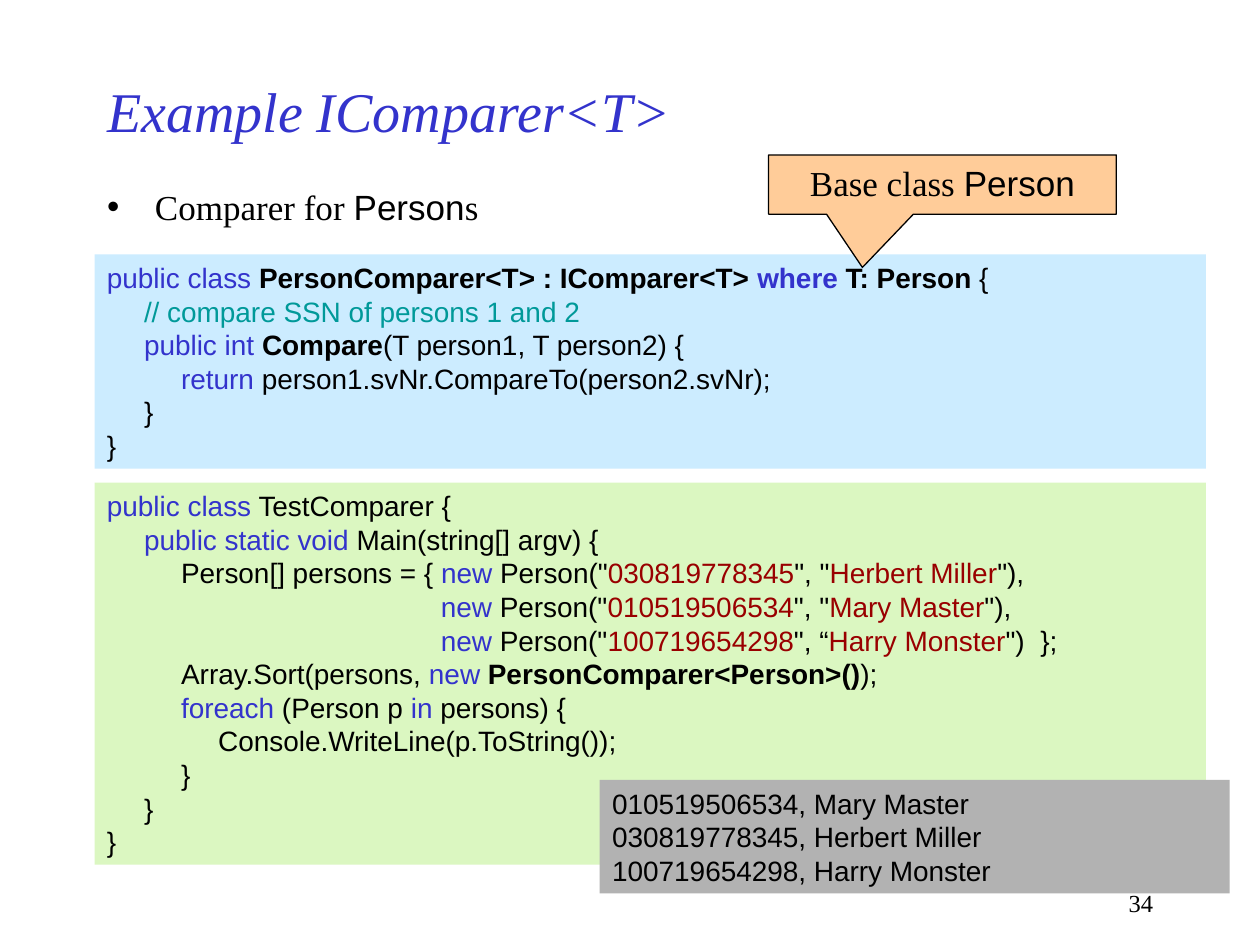
import pptx
import pptx.dml.color
import pptx.enum.shapes
import pptx.enum.text
import pptx.oxml
import pptx.oxml.ns
import pptx.util

Pt = pptx.util.Pt
RGB = pptx.dml.color.RGBColor.from_string
SHAPES = pptx.enum.shapes.MSO_SHAPE
ALIGN = pptx.enum.text.PP_ALIGN
ANCHOR = pptx.enum.text.MSO_ANCHOR

SERIF, SANS = "Times New Roman", "Arial"
CODE_SIZE, TEXT_SIZE = Pt(16), Pt(20)
THEME = {
    # run styles: font attributes and a colour
    "title": ({"name": SERIF, "size": Pt(32), "italic": True}, "3333CC"),
    "text": ({"name": SERIF, "size": TEXT_SIZE}, "000000"),
    "term": ({"name": SANS, "size": TEXT_SIZE}, "000000"),
    "number": ({"name": SERIF, "size": Pt(14)}, "000000"),
    "code": ({"name": SANS, "size": CODE_SIZE}, "000000"),
    "strong": ({"name": SANS, "size": CODE_SIZE, "bold": True}, "000000"),
    "keyword": ({"name": SANS, "size": CODE_SIZE}, "3333CC"),
    "strong keyword": ({"name": SANS, "size": CODE_SIZE, "bold": True}, "3333CC"),
    "comment": ({"name": SANS, "size": CODE_SIZE}, "009999"),
    "string": ({"name": SANS, "size": CODE_SIZE}, "990000"),
    # panel fills
    "comparer panel": "CCECFF",
    "test panel": "DBF7C1",
    "output panel": "B2B2B2",
    "callout": "FFCC99",
    "outline": "000000",
}

deck = pptx.Presentation()
deck.slide_width, deck.slide_height = pptx.util.Inches(10), pptx.util.Inches(7.5)
COL, ROW = deck.slide_width / 100, deck.slide_height / 75
slide = deck.slides.add_slide(deck.slide_layouts[1])

LEFT = 7.5                      # shared left edge, in columns
CODE_LEADING = CODE_SIZE * 1.2
INSET = ROW / 2                 # space above and below the text of a box
TAB = COL * 26.5 / 9            # one level of code indent


def grid(left, top, width, height):
    return [round(n) for n in (left * COL, top * ROW, width * COL, height * ROW)]


def write(frame, lines, align=ALIGN.LEFT, anchor=ANCHOR.TOP, leading=None, tabs=0):
    """Fill a text frame with lines, each a list of (style, text) runs."""
    layout = {"word_wrap": True, "vertical_anchor": anchor,
              "auto_size": pptx.enum.text.MSO_AUTO_SIZE.NONE}
    for name, value in layout.items():
        setattr(frame, name, value)
    for index, runs in enumerate(lines):
        paragraph = frame.add_paragraph() if index else frame.paragraphs[0]
        paragraph.alignment = align
        if tabs:
            stops = pptx.oxml.parse_xml(f"<a:tabLst {pptx.oxml.ns.nsdecls('a')}/>")
            for stop in range(1, tabs + 1):
                tab = stops.makeelement(pptx.oxml.ns.qn("a:tab"),
                                        {"pos": str(round(stop * TAB)), "algn": "l"})
                stops.append(tab)
            paragraph._p.get_or_add_pPr().append(stops)
        if leading:
            paragraph.line_spacing = Pt(leading / Pt(1))
        for style, text in runs:
            run = paragraph.add_run()
            run.text = text
            attributes, color = THEME[style]
            for name, value in attributes.items():
                setattr(run.font, name, value)
            run.font.color.rgb = RGB(color)


# Slide number, title and list
page_left, page_top, page_width, page_height = grid(71.7, 70, 20.8, 3.3)
page_number = slide.shapes.add_textbox(page_left, page_top, page_width, page_height)
write(page_number.text_frame, [[("number", "34")]], align=ALIGN.RIGHT)

title, body = slide.placeholders
for placeholder, box in ((title, grid(LEFT, 5, 75, 7.5)), (body, grid(LEFT, 14.2, 85, 55))):
    for name, value in zip(("left", "top", "width", "height"), box):
        setattr(placeholder, name, value)
write(title.text_frame, [[("title", "Example IComparer<T>")]], anchor=ANCHOR.MIDDLE)
write(body.text_frame, [[("text", "Comparer for "), ("term", "Person"), ("text", "s")]])
bullet_indent = round(3.8 * COL)
topic = body.text_frame.paragraphs[0]._p.get_or_add_pPr()
topic.set("marL", str(bullet_indent))
topic.set("indent", str(-bullet_indent))

# Code and output
persons = [("030819778345", "Herbert Miller"),
           ("010519506534", "Mary Master"),
           ("100719654298", "Harry Monster")]
leads = ["\t\tPerson[] persons = { "] + ["\t" * 9] * 2
separators = ['", "', '", "', '", “']
ends = ['"),', '"),', '")  };']

comparer_code = [
    [("keyword", "public class "), ("strong", "PersonComparer<T> : IComparer<T> "),
     ("strong keyword", "where"), ("strong", " T: Person"), ("code", " {")],
    [("comment", "\t// compare SSN of persons 1 and 2")],
    [("keyword", "\tpublic int "), ("strong", "Compare"), ("code", "(T person1, T person2) {")],
    [("keyword", "\t\treturn"), ("code", " person1.svNr.CompareTo(person2.svNr);")],
    [("code", "\t}")],
    [("code", "}")],
]
test_code = [
    [("keyword", "public class"), ("code", " TestComparer {")],
    [("keyword", "\tpublic static void"), ("code", " Main(string[] argv) {")],
    *[[("code", lead), ("keyword", "new"), ("code", ' Person("'), ("string", ssn),
       ("code", separator), ("string", person), ("code", end)]
      for lead, (ssn, person), separator, end in zip(leads, persons, separators, ends)],
    [("code", "\t\tArray.Sort(persons, "), ("keyword", "new"),
     ("strong", " PersonComparer<Person>()"), ("code", ");")],
    [("keyword", "\t\tforeach"), ("code", " (Person p "), ("keyword", "in"),
     ("code", " persons) {")],
    [("code", "\t\t\tConsole.WriteLine(p.ToString());")],
    [("code", "\t\t}")],
    [("code", "\t}")],
    [("code", "}")],
]
sorted_output = [[("code", f"{ssn}, {person}")] for ssn, person in sorted(persons)]

callout_text = [[("text", "Base class "), ("term", "Person")]]
panels = [
    ("comparer panel", SHAPES.RECTANGLE, (LEFT, 20.2, 88.2), comparer_code),
    ("test panel", SHAPES.RECTANGLE, (LEFT, 38.3, 88.2), test_code),
    ("callout", SHAPES.RECTANGULAR_CALLOUT, (61, 12.3, 27.6), callout_text),
    ("output panel", SHAPES.RECTANGLE, (47.6, 61.9, 50), sorted_output),
]
for part, outline, (left, top, width), lines in panels:
    is_callout = part == "callout"
    height = 4.7 if is_callout else (len(lines) * CODE_LEADING + 2 * INSET) / ROW
    panel = slide.shapes.add_shape(outline, *grid(left, top, width, height))
    panel.shadow.inherit = False
    panel.fill.solid()
    panel.fill.fore_color.rgb = RGB(THEME[part])
    if is_callout:
        panel.adjustments[0], panel.adjustments[1] = -0.23, 1.4
        panel.line.color.rgb = RGB(THEME["outline"])
        panel.line.width = Pt(0.75)
        write(panel.text_frame, lines, align=ALIGN.CENTER)
    else:
        panel.line.fill.background()
        write(panel.text_frame, lines, leading=CODE_LEADING, tabs=9)

deck.save("out.pptx")
